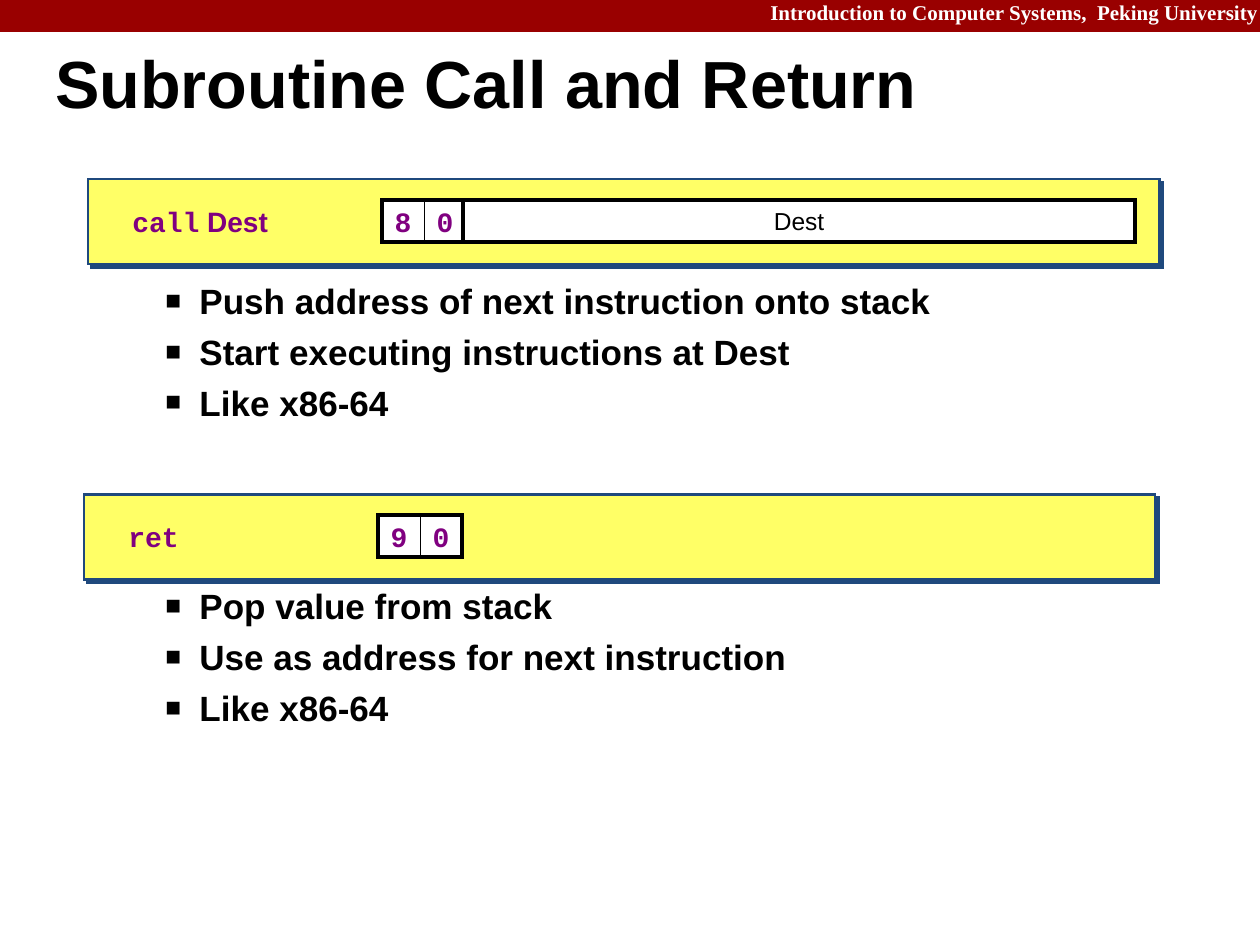
import pptx
import pptx.util
import pptx.dml.color
import pptx.enum.shapes
import pptx.enum.text
import pptx.oxml
import pptx.oxml.ns

RGBColor = pptx.dml.color.RGBColor
Align = pptx.enum.text.PP_ALIGN
Anchor = pptx.enum.text.MSO_ANCHOR

# Content
HEADER = "Introduction to Computer Systems,  Peking University"
TITLE = "Subroutine Call and Return"
CODE, SANS, SERIF = "Courier New", "Arial", "Times New Roman"
INSTRUCTIONS = [
    {
        "corner": (88, 179),
        "label": [("call", CODE), (" Dest", SANS)],
        "digits": "80",
        "operand": "Dest",
        "notes_top": 273,
        "notes": ["Push address of next instruction onto stack",
                  "Start executing instructions at Dest",
                  "Like x86-64"],
    },
    {
        "corner": (84, 494),
        "label": [("ret", CODE)],
        "digits": "90",
        "operand": None,
        "notes_top": 578,
        "notes": ["Pop value from stack",
                  "Use as address for next instruction",
                  "Like x86-64"],
    },
]

# Colours
RED = RGBColor(0x99, 0x00, 0x00)
YELLOW = RGBColor(0xFF, 0xFF, 0x66)
NAVY = RGBColor(0x1F, 0x49, 0x7D)
PURPLE = RGBColor(0x80, 0x00, 0x80)
BLACK = RGBColor(0x00, 0x00, 0x00)
WHITE = RGBColor(0xFF, 0xFF, 0xFF)

# Page size in inches, other sizes in px
PAGE_WIDTH, PAGE_HEIGHT = pptx.util.Inches(9.99), pptx.util.Inches(7.49)
PX_PER_INCH = 126.1
BAND_WIDTH, BAND_HEIGHT = 1260, 32
BAR_WIDTH, BAR_HEIGHT = 1071, 85
LABEL_LEFT, LABEL_WIDTH = 32, 262
CELL = 42
CELLS_LEFT, CELL_TOP = 294, 21
OPERAND_LEFT, OPERAND_WIDTH = 375, 672
NOTES_LEFT, NOTES_WIDTH, NOTES_HEIGHT = 85, 1062, 160
NOTE_INDENT, BULLET_HANG = 102, 34


def px(length):
    return pptx.util.Emu(round(length * 914400 / PX_PER_INCH))


def make(tag):
    return pptx.oxml.parse_xml(f'<a:{tag.format(pptx.oxml.ns.nsdecls("a"))}')


def add_rect(parent, left, top, width, height, fill=None, line=None, weight=0):
    rect = parent.add_shape(pptx.enum.shapes.MSO_SHAPE.RECTANGLE,
                            px(left), px(top), px(width), px(height))
    rect.shadow.inherit = False
    if fill is None:
        rect.fill.background()
    else:
        rect.fill.solid()
        rect.fill.fore_color.rgb = fill
    if line is None:
        rect.line.fill.background()
    else:
        rect.line.color.rgb = line
        rect.line.width = pptx.util.Pt(weight)
        outline = rect._element.spPr.find(pptx.oxml.ns.qn("a:ln"))
        outline.append(make('miter {} lim="800000"/>'))
    return rect


def add_box(left, top, width, height, anchor=Anchor.MIDDLE):
    box = page.shapes.add_textbox(px(left), px(top), px(width), px(height))
    box.text_frame.word_wrap = True
    box.text_frame.vertical_anchor = anchor
    return box


def style(font, size, color, name=None, bold=True):
    font.size = pptx.util.Pt(size)
    font.color.rgb = color
    font.bold = bold
    if name:
        font.name = name


def write(shape, text, size, color, name, bold=True, align=Align.LEFT):
    para = shape.text_frame.paragraphs[0]
    para.text = text
    para.alignment = align
    style(para.font, size, color, name, bold)
    return para


def write_centred(rect, *text_style):
    rect.text_frame.word_wrap = False
    rect.text_frame.vertical_anchor = Anchor.MIDDLE
    write(rect, *text_style, align=Align.CENTER)


def add_hard_shadow(rect, color):
    effects = rect._element.spPr.find(pptx.oxml.ns.qn("a:effectLst"))
    effects.append(make('outerShdw {} dist="35560" dir="2700000" algn="ctr" '
                        f'rotWithShape="0"><a:srgbClr val="{color}"/></a:outerShdw>'))


def add_square_bullet(para):
    props = para._p.get_or_add_pPr()
    props.set("marL", str(px(NOTE_INDENT)))
    props.set("indent", str(-px(BULLET_HANG)))
    for tag in ('buSzPct {} val="75000"/>', 'buFont {} typeface="Arial"/>',
                'buChar {} char="■"/>'):
        props.append(make(tag))


def add_instruction(item):
    left, top = item["corner"]
    bar = add_rect(page.shapes, left, top, BAR_WIDTH, BAR_HEIGHT, YELLOW, NAVY, 1.5)
    add_hard_shadow(bar, NAVY)
    row = top + CELL_TOP

    # Assembly label
    label = add_box(left + LABEL_LEFT, row, LABEL_WIDTH, CELL)
    para = label.text_frame.paragraphs[0]
    style(para.font, 16, PURPLE)
    for text, name in item["label"]:
        span = para.add_run()
        span.text = text
        style(span.font, 16, PURPLE, name)

    # Opcode byte: two digits inside a heavy frame
    byte = page.shapes.add_group_shape().shapes
    first = left + CELLS_LEFT
    for index, digit in enumerate(item["digits"]):
        cell = add_rect(byte, first + index * CELL, row, CELL, CELL, WHITE, BLACK, 0.5)
        write_centred(cell, digit, 16, PURPLE, CODE)
    add_rect(byte, first, row, 2 * CELL, CELL, None, BLACK, 2.25)

    # Operand field
    if item["operand"]:
        field = add_rect(page.shapes, left + OPERAND_LEFT, row, OPERAND_WIDTH, CELL,
                         WHITE, BLACK, 2.25)
        write_centred(field, item["operand"], 14, BLACK, SANS, False)

    # Bulleted notes
    notes = add_box(NOTES_LEFT, item["notes_top"], NOTES_WIDTH, NOTES_HEIGHT, Anchor.TOP)
    frame = notes.text_frame
    for index, note in enumerate(item["notes"]):
        para = frame.add_paragraph() if index else frame.paragraphs[0]
        para.text = note
        if index:
            para.space_before = pptx.util.Pt(5)
        add_square_bullet(para)
        style(para.font, 20, BLACK, SANS)


deck = pptx.Presentation()
deck.slide_width, deck.slide_height = PAGE_WIDTH, PAGE_HEIGHT
page = deck.slides.add_slide(deck.slide_layouts[6])

# Header band
add_rect(page.shapes, 0, 0, BAND_WIDTH, BAND_HEIGHT, RED)
header = add_box(750, 0, 510, 25)
header.text_frame.margin_right = px(2)
header.text_frame.margin_top = header.text_frame.margin_bottom = 0
write(header, HEADER, 12, WHITE, SERIF, align=Align.RIGHT)

# Title
title = add_box(55, 34, 1200, 107)
frame = title.text_frame
frame.margin_left = frame.margin_right = frame.margin_top = frame.margin_bottom = 0
write(title, TITLE, 38, BLACK, SANS).line_spacing = 0.87

# Instructions
for instruction in INSTRUCTIONS:
    add_instruction(instruction)

deck.save("out.pptx")
